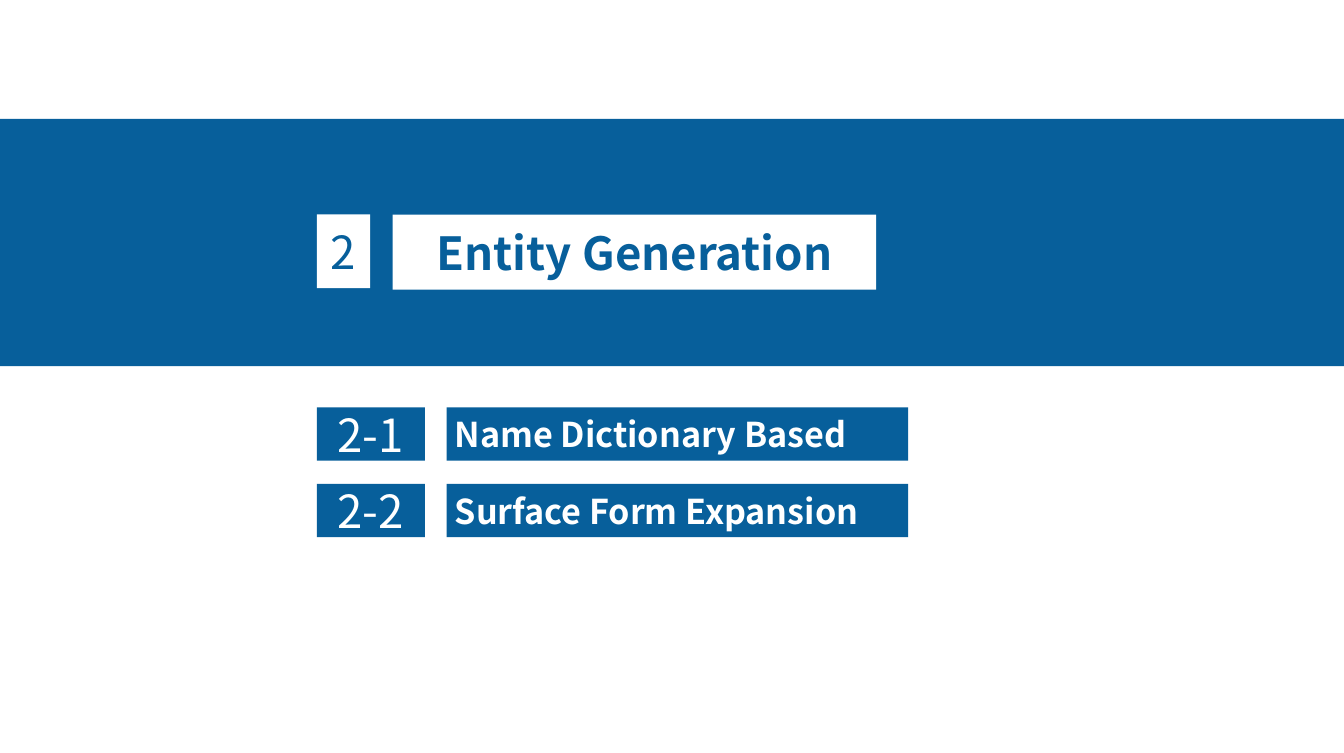
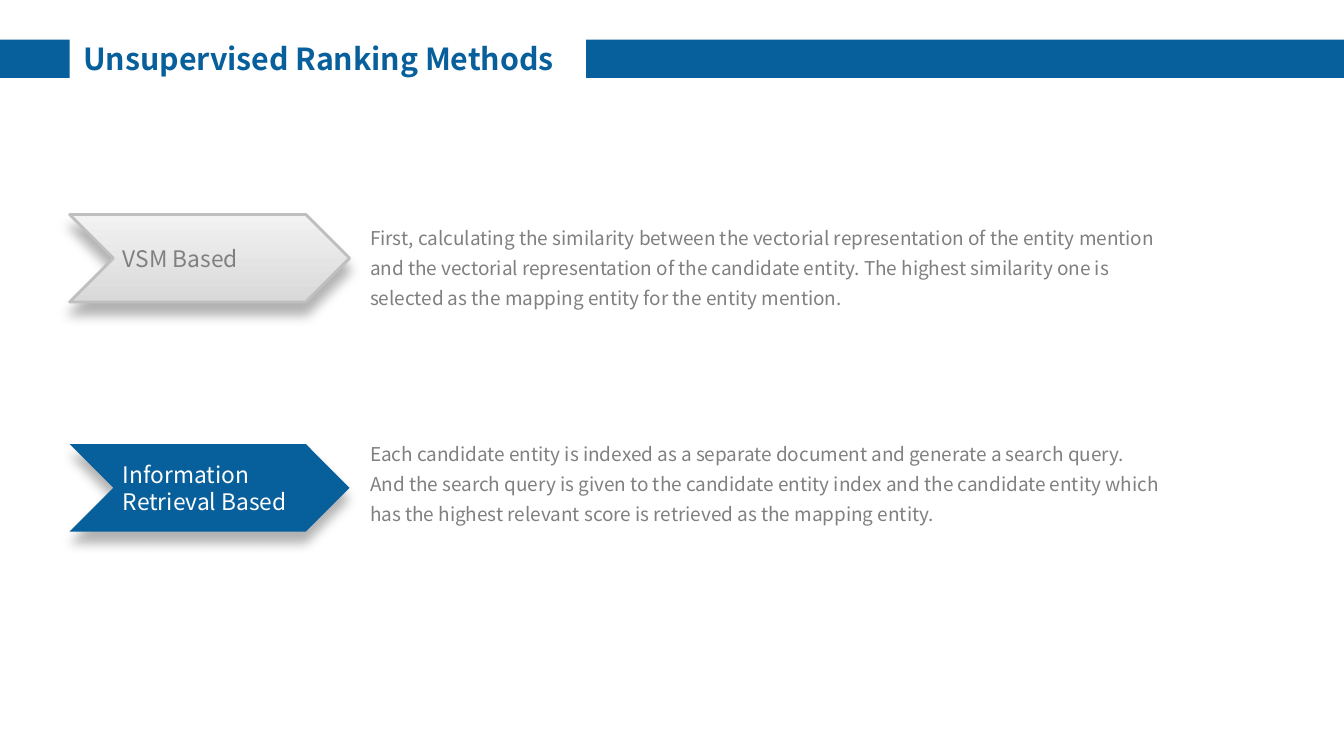
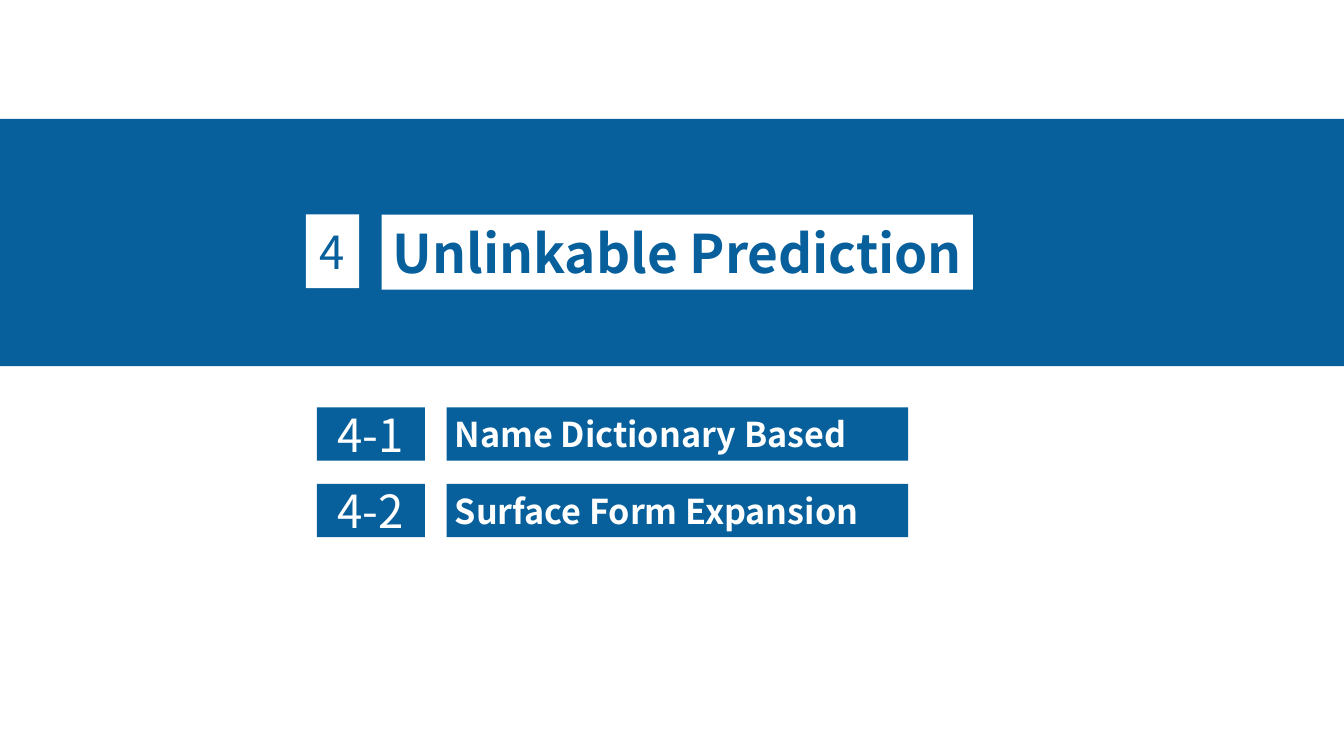
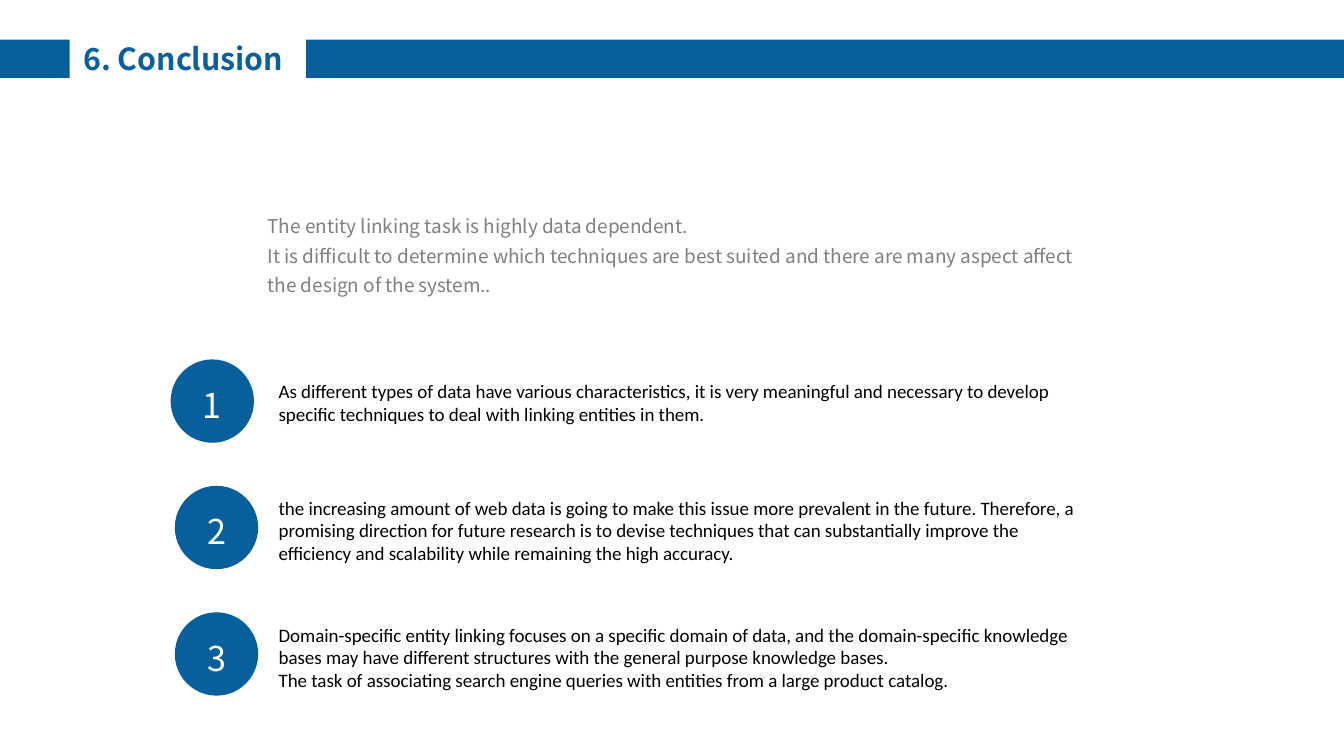
from dataclasses import dataclass

from lxml.etree import SubElement
from pptx import Presentation
from pptx.dml.color import RGBColor
from pptx.enum.shapes import MSO_SHAPE
from pptx.enum.text import MSO_ANCHOR, MSO_AUTO_SIZE, PP_ALIGN
from pptx.oxml.ns import qn
from pptx.presentation import Presentation as Deck
from pptx.shapes.autoshape import Shape
from pptx.slide import Slide
from pptx.util import Inches, Pt

BLUE = RGBColor(0x07, 0x5F, 0x9B)
WHITE = RGBColor(0xFF, 0xFF, 0xFF)
BLACK = RGBColor(0x00, 0x00, 0x00)
GRAY = RGBColor(0x80, 0x80, 0x80)
SILVER = RGBColor(0xBF, 0xBF, 0xBF)
GRADIENT = (RGBColor(0xD9, 0xD9, 0xD9), RGBColor(0xF2, 0xF2, 0xF2))

HEADING_FONT = "Noto Sans CJK SC"
BODY_FONT = "Calibri"
SLIDE_WIDTH = Inches(9.84)
SLIDE_HEIGHT = Inches(5.51)
TITLE_ONLY = 5
MARGIN = 5.18
BODY_WIDTH = 61.59
BODY_INSETS = (0.07, 0.04)


@dataclass(frozen=True)
class Box:
    """Place and size in percent of the slide's width and height."""

    left: float
    top: float
    width: float
    height: float

    def lengths(self) -> tuple[int, int, int, int]:
        return (
            int(SLIDE_WIDTH * self.left / 100),
            int(SLIDE_HEIGHT * self.top / 100),
            int(SLIDE_WIDTH * self.width / 100),
            int(SLIDE_HEIGHT * self.height / 100),
        )


@dataclass(frozen=True)
class Section:
    number: int
    title: str
    left: float
    title_width: float
    title_size: int
    topics: tuple[str, ...]


@dataclass(frozen=True)
class Method:
    name: str
    description: str
    arrow_top: float
    text_top: float
    highlighted: bool


@dataclass(frozen=True)
class Finding:
    text: str
    circle_left: float
    text_top: float
    text_height: float


TOPICS = ("Name Dictionary Based", "Surface Form Expansion")
ENTITY_GENERATION = Section(2, "Entity Generation", 23.58, 35.98, 24, TOPICS)
UNLINKABLE_PREDICTION = Section(4, "Unlinkable Prediction", 22.76, 44, 28, TOPICS)

METHODS = (
    Method(
        "VSM Based",
        "First, calculating the similarity between the vectorial representation of the "
        "entity mention and the vectorial representation of the candidate entity. The "
        "highest similarity one is selected as the mapping entity for the entity mention.",
        28.49, 28.49, False,
    ),
    Method(
        "Information Retrieval Based",
        "Each candidate entity is indexed as a separate document and generate a search query.\n"
        "And the search query is given to the candidate entity index and the candidate "
        "entity which has the highest relevant score is retrieved as the mapping entity.",
        58.98, 57.17, True,
    ),
)

CONCLUSION = (
    "The entity linking task is highly data dependent.\n"
    "It is difficult to determine which techniques are best suited and there are many "
    "aspect affect the design of the system.."
)
FINDINGS = (
    Finding(
        "As different types of data have various characteristics, it is very meaningful and "
        "necessary to develop specific techniques to deal with linking entities in them.",
        12.7, 49.73, 7.44,
    ),
    Finding(
        "the increasing amount of web data is going to make this issue more prevalent in the "
        "future. Therefore, a promising direction for future research is to devise techniques "
        "that can substantially improve the efficiency and scalability while remaining the "
        "high accuracy.",
        13.01, 65.15, 10.53,
    ),
    Finding(
        "Domain-specific entity linking focuses on a specific domain of data, and the "
        "domain-specific knowledge bases may have different structures with the general "
        "purpose knowledge bases.\n"
        "The task of associating search engine queries with entities from a large product "
        "catalog.",
        13.01, 82.03, 10.53,
    ),
)


def write_text(
    shape: Shape,
    text: str,
    *,
    size: int,
    color: RGBColor,
    font: str = HEADING_FONT,
    bold: bool = False,
    align: PP_ALIGN = PP_ALIGN.LEFT,
    anchor: MSO_ANCHOR = MSO_ANCHOR.MIDDLE,
    insets: tuple[float, float] = (0, 0),
    line_spacing: float = 1.0,
) -> None:
    frame = shape.text_frame
    frame.text = text
    frame.word_wrap = True
    frame.auto_size = MSO_AUTO_SIZE.NONE
    frame.vertical_anchor = anchor
    frame.margin_left = frame.margin_right = Inches(insets[0])
    frame.margin_top = frame.margin_bottom = Inches(insets[1])
    for paragraph in frame.paragraphs:
        paragraph.alignment = align
        paragraph.line_spacing = line_spacing
        for run in paragraph.runs:
            run.font.name = font
            run.font.size = Pt(size)
            run.font.bold = bold
            run.font.color.rgb = color


def add_block(
    slide: Slide, box: Box, fill: RGBColor, kind: MSO_SHAPE = MSO_SHAPE.RECTANGLE
) -> Shape:
    shape = slide.shapes.add_shape(kind, *box.lengths())
    shape.shadow.inherit = False
    shape.fill.solid()
    shape.fill.fore_color.rgb = fill
    shape.line.fill.background()
    return shape


def add_body(
    slide: Slide,
    text: str,
    box: Box,
    *,
    color: RGBColor = GRAY,
    font: str = HEADING_FONT,
    line_spacing: float = 1.3,
) -> None:
    shape = slide.shapes.add_textbox(*box.lengths())
    write_text(
        shape, text, size=10, color=color, font=font, anchor=MSO_ANCHOR.TOP,
        insets=BODY_INSETS, line_spacing=line_spacing,
    )


def add_titled_slide(
    presentation: Deck,
    title_text: str,
    band: Box,
    title_box: Box,
    *,
    size: int,
    align: PP_ALIGN = PP_ALIGN.LEFT,
    anchor: MSO_ANCHOR = MSO_ANCHOR.MIDDLE,
    insets: tuple[float, float] = (0, 0),
) -> Slide:
    slide = presentation.slides.add_slide(presentation.slide_layouts[TITLE_ONLY])
    add_block(slide, band, BLUE)
    title = slide.shapes.title
    title.element.getparent().append(title.element)
    title.left, title.top, title.width, title.height = title_box.lengths()
    title.fill.solid()
    title.fill.fore_color.rgb = WHITE
    write_text(
        title, title_text, size=size, color=BLUE, bold=True,
        align=align, anchor=anchor, insets=insets,
    )
    return slide


def add_content_slide(presentation: Deck, title: str, title_width: float) -> Slide:
    return add_titled_slide(
        presentation, title, Box(0, 5.26, 100, 5.08),
        Box(MARGIN, 4.36, title_width, 6.72),
        size=16, anchor=MSO_ANCHOR.TOP, insets=(0.1, 0.05),
    )


def add_section_slide(presentation: Deck, section: Section) -> None:
    slide = add_titled_slide(
        presentation, section.title, Box(0, 15.79, 100, 32.85),
        Box(section.left + 5.64, 28.49, section.title_width, 9.98),
        size=section.title_size, align=PP_ALIGN.CENTER,
    )
    number = add_block(slide, Box(section.left, 28.49, 3.96, 9.8), WHITE)
    write_text(number, str(section.number), size=24, color=BLUE, align=PP_ALIGN.CENTER)
    for index, topic in enumerate(section.topics):
        top = 54.08 + 10.17 * index
        label = add_block(slide, Box(23.58, top, 8.03, 7.08), BLUE)
        write_text(
            label, f"{section.number}-{index + 1}", size=24, color=WHITE,
            align=PP_ALIGN.CENTER,
        )
        bar = add_block(slide, Box(33.23, top, 34.35, 7.08), BLUE)
        write_text(bar, topic, size=18, color=WHITE, bold=True, insets=(0.06, 0))


def add_drop_shadow(shape: Shape) -> None:
    effects = shape.element.spPr.find(qn("a:effectLst"))
    shadow = SubElement(
        effects, qn("a:outerShdw"), blurRad=str(Pt(6)), dist=str(Pt(6)),
        dir="5400000", algn="t", rotWithShape="0",
    )
    color = SubElement(shadow, qn("a:srgbClr"), val=str(BLACK))
    SubElement(color, qn("a:alpha"), val="30000")


def add_method(slide: Slide, method: Method) -> None:
    arrow = add_block(
        slide, Box(MARGIN, method.arrow_top, 20.83, 11.62), BLUE, MSO_SHAPE.CHEVRON
    )
    if not method.highlighted:
        arrow.fill.gradient()
        arrow.fill.gradient_angle = 90
        for stop, color in zip(arrow.fill.gradient_stops, GRADIENT):
            stop.color.rgb = color
        arrow.line.color.rgb = SILVER
        arrow.line.width = Pt(1.5)
    add_drop_shadow(arrow)
    write_text(
        arrow, method.name, size=12, color=WHITE if method.highlighted else GRAY,
        insets=BODY_INSETS,
    )
    add_body(slide, method.description, Box(26.83, method.text_top, BODY_WIDTH, 12.89))


def add_finding(slide: Slide, index: int, finding: Finding) -> None:
    circle = add_block(
        slide, Box(finding.circle_left, 47.73 + 16.79 * index, 6.2, 11.07),
        BLUE, MSO_SHAPE.OVAL,
    )
    write_text(circle, str(index + 1), size=18, color=WHITE, align=PP_ALIGN.CENTER)
    circle.text_frame.margin_top = Inches(0.05)
    add_body(
        slide, finding.text,
        Box(20.02, finding.text_top, BODY_WIDTH, finding.text_height),
        color=BLACK, font=BODY_FONT, line_spacing=1.0,
    )


def main() -> None:
    presentation = Presentation()
    presentation.slide_width = SLIDE_WIDTH
    presentation.slide_height = SLIDE_HEIGHT

    add_section_slide(presentation, ENTITY_GENERATION)

    ranking = add_content_slide(presentation, "Unsupervised Ranking Methods", 38.41)
    for method in METHODS:
        add_method(ranking, method)

    add_section_slide(presentation, UNLINKABLE_PREDICTION)

    conclusion = add_content_slide(presentation, "6. Conclusion", 17.58)
    add_body(conclusion, CONCLUSION, Box(19.21, 26.86, BODY_WIDTH, 12.89))
    for index, finding in enumerate(FINDINGS):
        add_finding(conclusion, index, finding)

    presentation.save("out.pptx")


if __name__ == "__main__":
    main()
